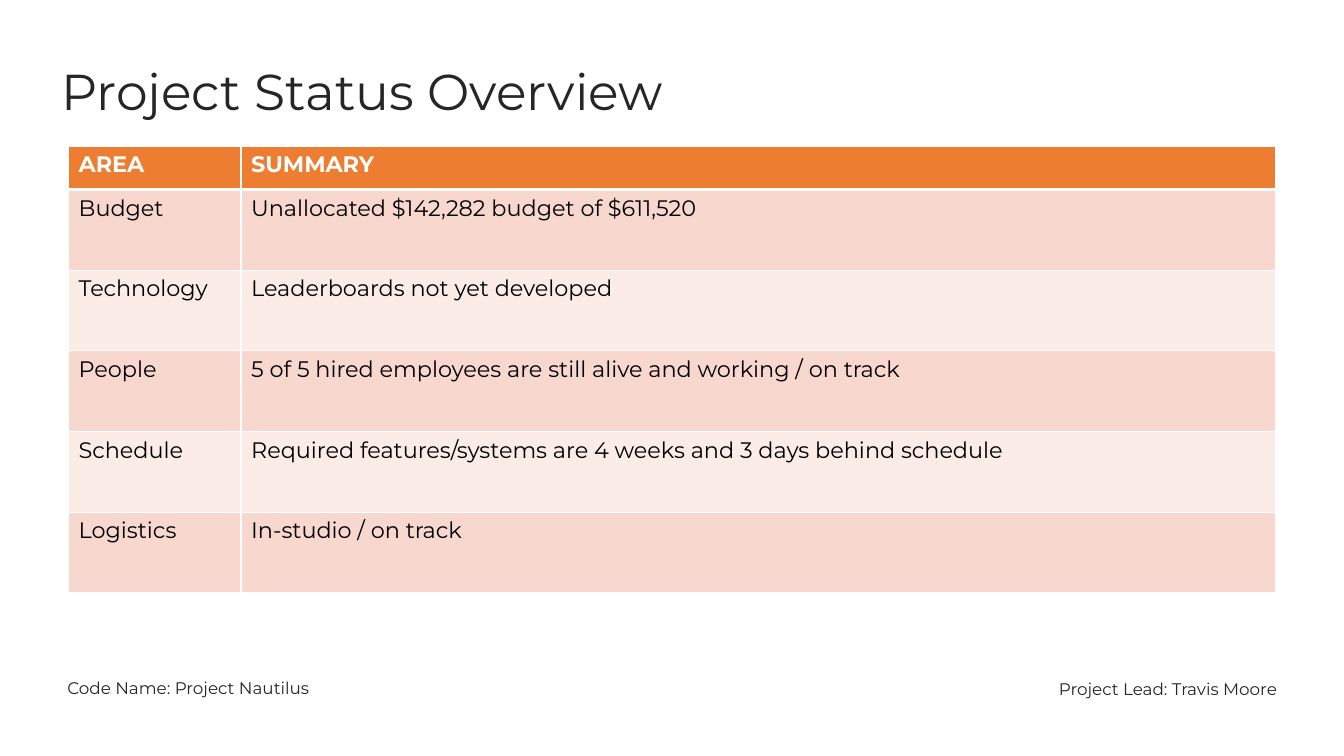
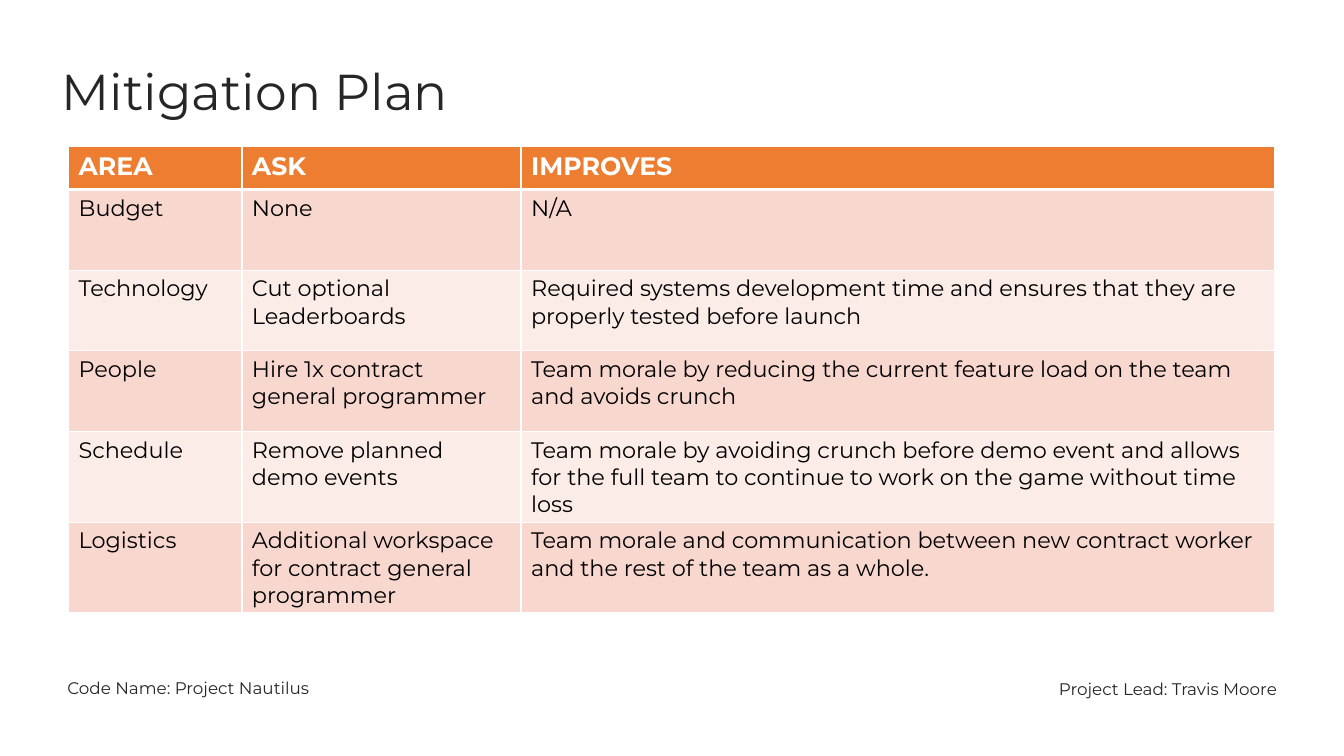
from lxml.etree import SubElement
from pptx import Presentation
from pptx.dml.color import RGBColor
from pptx.enum.text import MSO_ANCHOR as Anchor, MSO_AUTO_SIZE as AutoSize, PP_ALIGN as Align
from pptx.oxml.ns import qn
from pptx.util import Pt

WHITE = RGBColor(0xFF, 0xFF, 0xFF)
BLACK = RGBColor(0x00, 0x00, 0x00)
CHARCOAL = RGBColor(0x26, 0x26, 0x26)
ORANGE = RGBColor(0xED, 0x7D, 0x31)
BANDS = (RGBColor(0xF8, 0xD7, 0xCE), RGBColor(0xFC, 0xEC, 0xE8))

TITLE_ONLY = 5
TABLE_LEFT, TABLE_TOP = 49, 104.4
HEADER_HEIGHT, ROW_HEIGHT = 31, 57.6
THIN, THICK = 1, 3

TITLE_FONT = {"name": "Montserrat", "size": Pt(36), "bold": False}
FOOTER_FONT = {"name": "Montserrat", "size": Pt(12)}
HEADER_FONT = {"name": "Montserrat", "bold": True}
BODY_FONT = {"name": "Montserrat", "size": Pt(16), "bold": False}

FOOTERS = (
    ("Code Name: Project Nautilus", 41, 476.6, Align.LEFT),
    ("Project Lead: Travis Moore", 703.4, 477.4, Align.RIGHT),
)

STATUS_ROWS = (
    ("AREA", "SUMMARY"),
    ("Budget", "Unallocated $142,282 budget of $611,520"),
    ("Technology", "Leaderboards not yet developed"),
    ("People", "5 of 5 hired employees are still alive and working / on track"),
    ("Schedule", "Required features/systems are 4 weeks and 3 days behind schedule"),
    ("Logistics", "In-studio / on track"),
)

MITIGATION_ROWS = (
    ("AREA", "ASK", "IMPROVES"),
    ("Budget", "None", "N/A"),
    ("Technology", "Cut optional Leaderboards",
     "Required systems development time and ensures that they are properly "
     "tested before launch"),
    ("People", "Hire 1x contract general programmer",
     "Team morale by reducing the current feature load on the team and avoids crunch"),
    ("Schedule", "Remove planned demo events",
     "Team morale by avoiding crunch before demo event and allows for the full "
     "team to continue to work on the game without time loss"),
    ("Logistics", "Additional workspace for contract general programmer",
     "Team morale and communication between new contract worker and the rest "
     "of the team as a whole."),
)


def apply(target, values):
    for name, value in values.items():
        setattr(target, name, value)


def write(frame, text, font, color, align=Align.LEFT):
    frame.text = text
    paragraph = frame.paragraphs[0]
    paragraph.alignment = align
    run_font = paragraph.runs[0].font
    apply(run_font, font)
    run_font.color.rgb = color
    return paragraph


def add_title(slide, text):
    title = slide.shapes.title
    apply(title, {"left": Pt(36.7), "top": Pt(19.4), "width": Pt(645.8), "height": Pt(71.3)})
    apply(title.text_frame, {"vertical_anchor": Anchor.BOTTOM, "word_wrap": True,
                             "auto_size": AutoSize.NONE})
    write(title.text_frame, text, TITLE_FONT, CHARCOAL).line_spacing = 0.9


def add_footers(slide):
    for text, left, top, align in FOOTERS:
        footer = slide.shapes.add_textbox(Pt(left), Pt(top), Pt(216), Pt(28.8))
        apply(footer.text_frame, {"vertical_anchor": Anchor.MIDDLE, "word_wrap": True})
        write(footer.text_frame, text, FOOTER_FONT, CHARCOAL, align)


def add_borders(cell, top, bottom):
    properties = cell._tc.get_or_add_tcPr()
    for side, weight in (("L", THIN), ("R", THIN), ("T", top), ("B", bottom)):
        line = SubElement(properties, qn(f"a:ln{side}"), w=str(Pt(weight)))
        fill = SubElement(line, qn("a:solidFill"))
        SubElement(fill, qn("a:srgbClr"), val=str(WHITE))


def fill_cell(cell, text, row, header_size):
    add_borders(cell, THICK if row == 1 else THIN, THICK if row == 0 else THIN)
    cell.fill.solid()
    if row == 0:
        cell.fill.fore_color.rgb = ORANGE
        write(cell.text_frame, text, HEADER_FONT | {"size": Pt(header_size)}, WHITE)
    else:
        cell.fill.fore_color.rgb = BANDS[(row - 1) % 2]
        write(cell.text_frame, text, BODY_FONT, BLACK)


def add_area_table(slide, rows, widths, header_size):
    heights = [HEADER_HEIGHT] + [ROW_HEIGHT] * (len(rows) - 1)
    table = slide.shapes.add_table(
        len(rows), len(widths), Pt(TABLE_LEFT), Pt(TABLE_TOP),
        Pt(sum(widths)), Pt(sum(heights))).table
    for column, width in zip(table.columns, widths):
        column.width = Pt(width)
    for table_row, height in zip(table.rows, heights):
        table_row.height = Pt(height)
    for row, texts in enumerate(rows):
        for column, text in enumerate(texts):
            fill_cell(table.cell(row, column), text, row, header_size)


def add_report_slide(deck, title, rows, widths, header_size):
    slide = deck.slides.add_slide(deck.slide_layouts[TITLE_ONLY])
    add_footers(slide)
    add_title(slide, title)
    add_area_table(slide, rows, widths, header_size)


def main():
    deck = Presentation()
    apply(deck, {"slide_width": Pt(960), "slide_height": Pt(540)})
    add_report_slide(deck, "Project Status Overview", STATUS_ROWS, (123.2, 738.6), 16)
    add_report_slide(deck, "Mitigation Plan", MITIGATION_ROWS, (123.8, 199.4, 538.6), 18)
    deck.save("out.pptx")


main()
